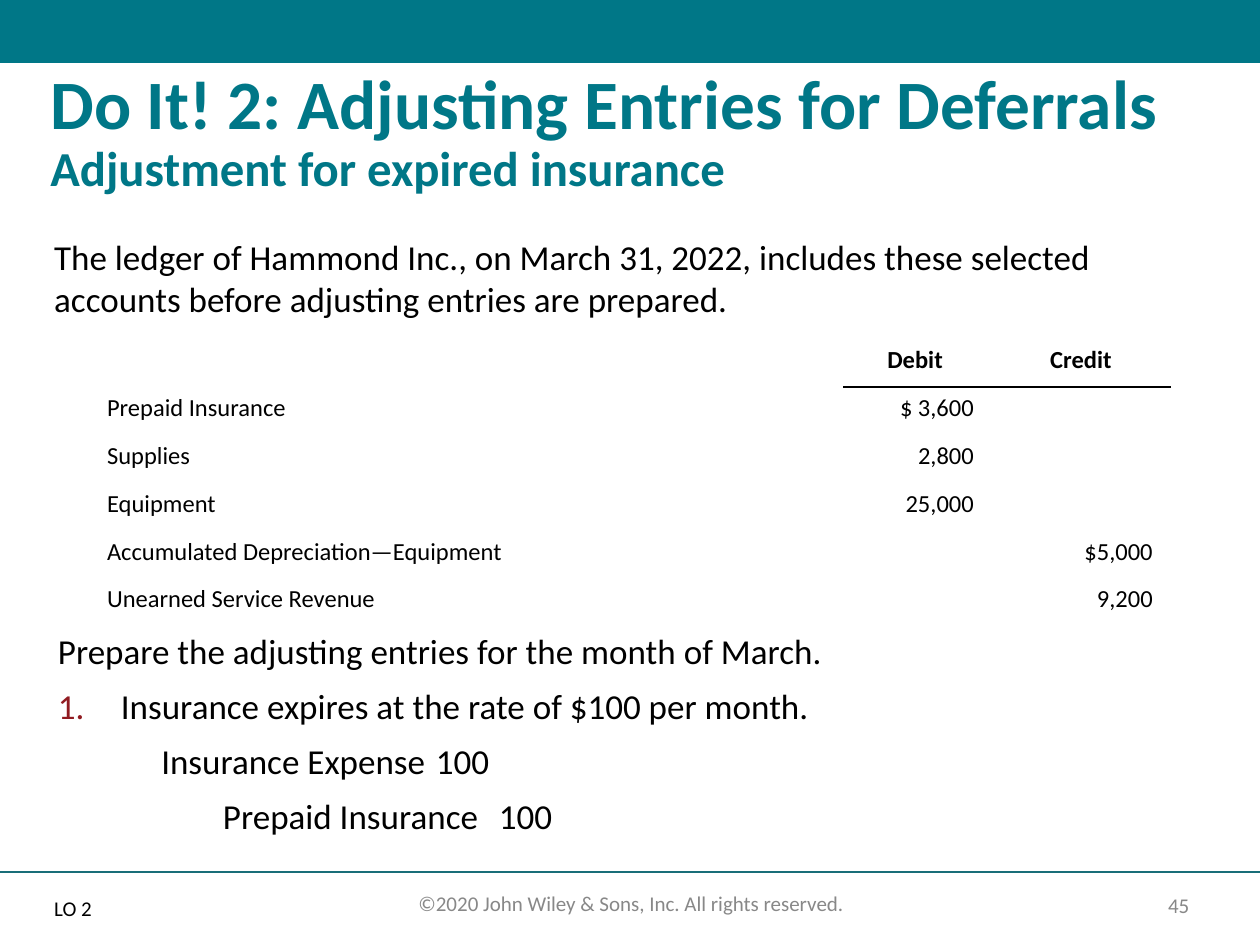
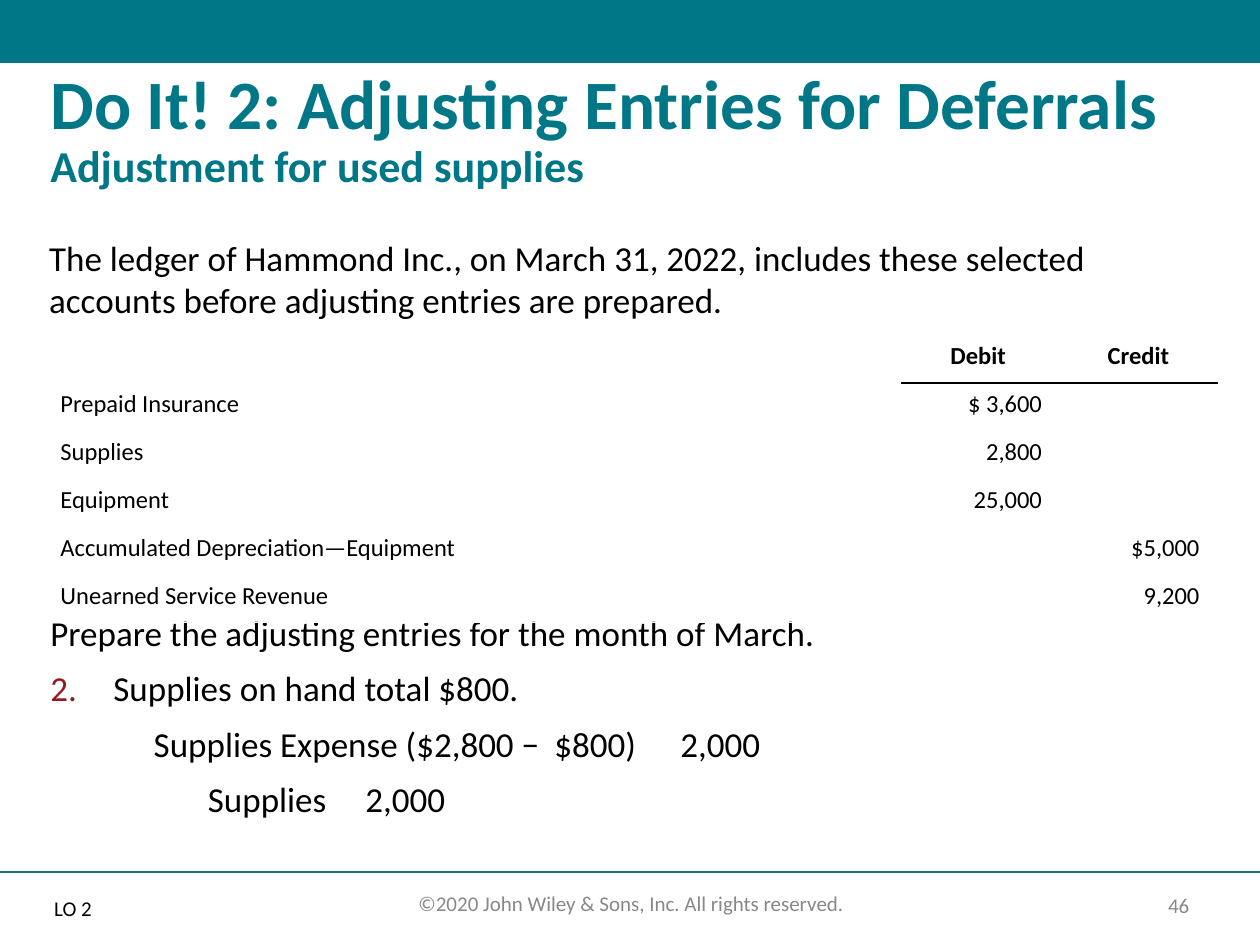
from dataclasses import dataclass
from typing import Any, Optional

from lxml import etree
from pptx import Presentation
from pptx import util as u
from pptx.dml.color import RGBColor
from pptx.enum import shapes, text
from pptx.oxml.ns import qn

# Shared look
FONT = "Calibri"
TEAL, RULE, GREY, BLACK, RED = "007787", "196E78", "888888", "000000", "911B21"
HEADING = "Do It! 2: Adjusting Entries for Deferrals"
INTRO = ("The ledger of Hammond Inc., on March 31, 2022, includes these selected "
         "accounts before adjusting entries are prepared.")
TASK = "Prepare the adjusting entries for the month of March."
COPYRIGHT = "©2020 John Wiley & Sons, Inc. All rights reserved."
LEDGER = [
    ("", "Debit ", "Credit"),
    ("Prepaid Insurance", "$ 3,600", ""),
    ("Supplies", "2,800", ""),
    ("Equipment", "25,000", ""),
    ("Accumulated Depreciation—Equipment", "", "$5,000"),
    ("Unearned Service Revenue", "", "9,200"),
]
ROW_HEIGHT = 0.38
LEFT, CENTER, RIGHT = (text.PP_ALIGN.LEFT, text.PP_ALIGN.CENTER, text.PP_ALIGN.RIGHT)
TOP, MIDDLE = text.MSO_ANCHOR.TOP, text.MSO_ANCHOR.MIDDLE


@dataclass
class Box:
    left: float
    top: float
    width: float
    height: float

    def lengths(self) -> list[u.Length]:
        return [u.Inches(v) for v in (self.left, self.top, self.width, self.height)]


@dataclass
class Line:
    words: str
    indent: float = 0
    tabs: tuple[float, ...] = ()
    number: Optional[int] = None


@dataclass
class Exercise:
    page: int
    subtitle: str
    subtitle_size: float
    title_box: Box
    intro_box: Box
    table_left: float
    table_top: float
    columns: tuple[float, ...]
    entry_box: Box
    entries: list[Line]


EXERCISES = [
    Exercise(45, "Adjustment for expired insurance", 27.9,
             Box(0.3, 0.5, 9.34, 1.07), Box(0.33, 1.82, 9.33, 0.76),
             0.71, 2.69, (5.99, 1.17, 1.42), Box(0.36, 4.98, 9.18, 1.83),
             [Line("Insurance expires at the rate of $100 per month.", number=1),
              Line("Insurance Expense\t100", 0.82, (3.44,)),
              Line("Prepaid Insurance\t100", 1.31, (4.44,))]),
    Exercise(46, "Adjustment for used supplies", 25.2,
             Box(0.3, 0.5, 9.36, 1.07), Box(0.29, 1.83, 9.33, 0.77),
             0.34, 2.66, (6.82, 1.25, 1.25), Box(0.3, 4.84, 9.36, 1.86),
             [Line("Supplies on hand total $800.", number=2),
              Line("Supplies Expense ($2,800 −\t$800)\t2,000", 0.82, (4, 5)),
              Line("Supplies\t2,000", 1.25, (6.01,))]),
]


# Formatting helpers
def color(value: str) -> RGBColor:
    return RGBColor.from_string(value)


def apply(target: Any, values: dict[str, Any]) -> None:
    for name, value in values.items():
        setattr(target, name, value)


def child(parent: Any, tag: str, **attributes: Any) -> Any:
    return etree.SubElement(parent, qn(tag), {k: str(v) for k, v in attributes.items()})


def add_run(paragraph: Any, words: str, size: float, tint: str = BLACK,
            bold: bool = False) -> None:
    run = paragraph.add_run()
    run.text = words
    apply(run.font, {"name": FONT, "size": u.Pt(size), "bold": bold})
    run.font.color.rgb = color(tint)


def prepare_frame(shape: Any, box: Box, anchor: Any = TOP) -> Any:
    apply(shape, dict(zip(("left", "top", "width", "height"), box.lengths())))
    frame = shape.text_frame
    apply(frame, {"word_wrap": True, "auto_size": text.MSO_AUTO_SIZE.NONE,
                  "vertical_anchor": anchor})
    return frame


def add_line(paragraph: Any, line: Line, size: float, spacing: float, before: float) -> None:
    properties = paragraph._p.get_or_add_pPr()
    numbered = line.number is not None
    margin, indent = (0.5, -0.5) if numbered else (0, line.indent)
    properties.set("marL", str(u.Inches(margin)))
    properties.set("indent", str(u.Inches(indent)))
    if numbered:
        child(child(properties, "a:buClr"), "a:srgbClr", val=RED)
        child(properties, "a:buFont", typeface=FONT)
        child(properties, "a:buAutoNum", type="arabicPeriod", startAt=line.number)
    else:
        child(properties, "a:buNone")
    if line.tabs:
        stops = child(properties, "a:tabLst")
        for stop in line.tabs:
            child(stops, "a:tab", pos=u.Inches(stop), algn="l")
    apply(paragraph, {"alignment": LEFT, "line_spacing": spacing,
                      "space_before": u.Pt(before), "space_after": u.Pt(0)})
    add_run(paragraph, line.words, size)


def fill_body(shape: Any, box: Box, lines: list[Line], size: float = 20,
              spacing: float = 0.9) -> None:
    frame = prepare_frame(shape, box)
    for index, line in enumerate(lines):
        paragraph = frame.add_paragraph() if index else frame.paragraphs[0]
        add_line(paragraph, line, size, spacing, 10 if index else 0)


# Slide parts
def add_frame(slide: Any, page: int) -> None:
    band = slide.shapes.add_shape(shapes.MSO_SHAPE.RECTANGLE, *Box(0, 0, 10, 0.5).lengths())
    band.shadow.inherit = False
    band.fill.solid()
    band.fill.fore_color.rgb = color(TEAL)
    band.line.fill.background()

    rule = slide.shapes.add_connector(shapes.MSO_CONNECTOR.STRAIGHT,
                                      *Box(0, 6.92, 10, 6.92).lengths())
    rule.line.color.rgb = color(RULE)
    rule.line.width = u.Pt(1)
    child(rule._element.spPr, "a:effectLst")

    for words, box, anchor in ((str(page), Box(9.05, 7.04, 0.61, 0.28), MIDDLE),
                               (COPYRIGHT, Box(2.84, 7.02, 4.34, 0.3), TOP)):
        footer = slide.shapes.add_textbox(*box.lengths())
        paragraph = prepare_frame(footer, box, anchor).paragraphs[0]
        paragraph.alignment = CENTER
        add_run(paragraph, words, 12, GREY)


def add_title(slide: Any, exercise: Exercise) -> None:
    paragraph = prepare_frame(slide.shapes.title, exercise.title_box).paragraphs[0]
    apply(paragraph, {"alignment": LEFT, "line_spacing": 0.9, "space_before": u.Pt(0)})
    add_run(paragraph, HEADING, 39.6, TEAL, True)
    paragraph.add_line_break()
    child(paragraph._p.find(qn("a:br")), "a:rPr", sz=3960)
    add_run(paragraph, exercise.subtitle, exercise.subtitle_size, TEAL, True)


def add_border(cell: Any, side: str) -> None:
    border = etree.Element(qn(side), {"w": str(u.Pt(1))})
    child(child(border, "a:solidFill"), "a:srgbClr", val=BLACK)
    cell._tc.get_or_add_tcPr().insert(0, border)


def add_ledger(slide: Any, exercise: Exercise) -> None:
    box = Box(exercise.table_left, exercise.table_top, sum(exercise.columns),
              ROW_HEIGHT * len(LEDGER))
    table = slide.shapes.add_table(len(LEDGER), len(exercise.columns), *box.lengths()).table
    apply(table, {"first_row": False, "horz_banding": False})
    for column, width in zip(table.columns, exercise.columns):
        column.width = u.Inches(width)
    for row_index, values in enumerate(LEDGER):
        table.rows[row_index].height = u.Inches(ROW_HEIGHT)
        for column_index, words in enumerate(values):
            cell = table.cell(row_index, column_index)
            cell.fill.background()
            apply(cell, {"margin_left": u.Inches(0.14), "margin_right": u.Inches(0.14),
                         "margin_top": u.Inches(0.05), "margin_bottom": u.Inches(0.05)})
            paragraph = cell.text_frame.paragraphs[0]
            if words:
                add_run(paragraph, words, 14, bold=row_index == 0)
            else:
                child(paragraph._p, "a:endParaRPr", sz=1400)
            if column_index:
                paragraph.alignment = RIGHT if row_index else CENTER
                if row_index < 2:
                    add_border(cell, "a:lnT" if row_index else "a:lnB")


def build_slide(presentation: Any, exercise: Exercise) -> None:
    layout = presentation.slide_layouts.get_by_name("Comparison")
    slide = presentation.slides.add_slide(layout)
    intro, entries, objective, spare = list(slide.placeholders)[1:5]
    spare._element.getparent().remove(spare._element)
    add_frame(slide, exercise.page)
    add_title(slide, exercise)
    fill_body(intro, exercise.intro_box, [Line(INTRO)], spacing=1.0)
    add_ledger(slide, exercise)
    fill_body(entries, exercise.entry_box, [Line(TASK), *exercise.entries])
    fill_body(objective, Box(0.33, 7.08, 0.67, 0.33), [Line("LO 2")], size=12)


def main() -> None:
    presentation = Presentation()
    presentation.slide_width = u.Inches(10)
    presentation.slide_height = u.Inches(7.5)
    for exercise in EXERCISES:
        build_slide(presentation, exercise)
    presentation.save("out.pptx")


if __name__ == "__main__":
    main()
